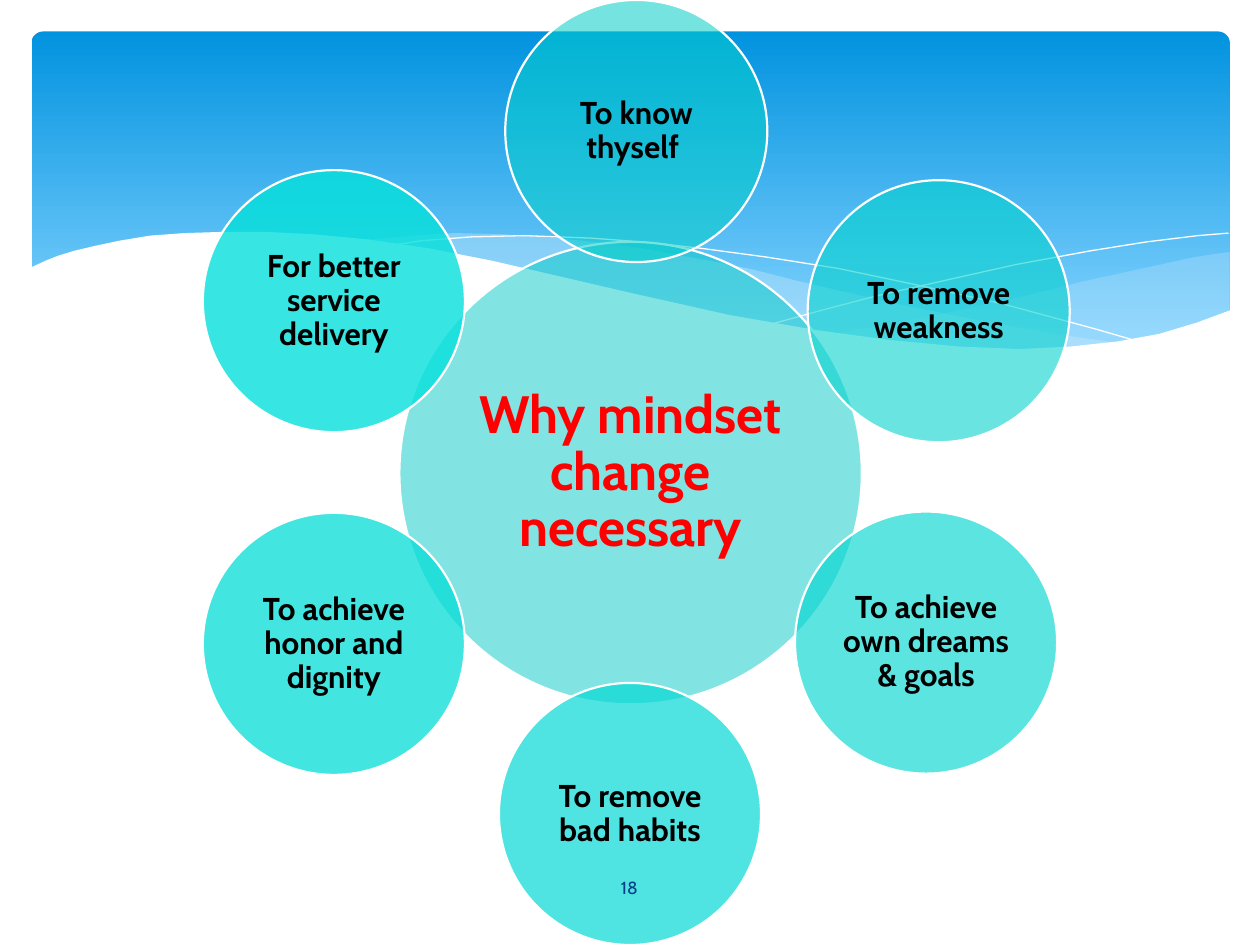
import dataclasses
import math
from typing import Optional

import lxml.etree
import pptx
import pptx.dml.color
import pptx.dml.fill
import pptx.enum.shapes
import pptx.enum.text
import pptx.oxml.ns
import pptx.util

PX = 9144  # EMU per px, 100 px to the inch
FONT = "Cabin"
COLORS = {
    "sky_top": "0293E0", "sky_bottom": "83D3FE", "mist": "C6E7FC", "white": "FFFFFF",
    "core": "05CBC7", "core_text": "FF0000", "text": "000000", "number": "073E87",
    "know": "05CFCA", "weakness": "05D2CE", "dreams": "05D6D1",
    "habits": "05D9D5", "honor": "05DDD8", "service": "06E0DB",
}


@dataclasses.dataclass
class Wave:
    points: list[tuple[int, int]]
    fill: Optional[str] = None
    opacity: int = 100


@dataclasses.dataclass
class Reason:
    words: str
    color: str
    dx: int = 0
    dy: int = 0


WAVES = [
    Wave([(975, 200), (948, 204), (921, 210), (861, 223), (805, 237), (753, 248),
          (706, 257), (661, 265), (691, 269), (719, 272), (745, 275), (781, 277),
          (814, 278), (844, 277), (872, 274), (897, 270), (921, 265), (942, 259),
          (963, 252), (976, 247), (976, 200)], "mist", 29),
    Wave([(893, 273), (837, 265), (775, 254), (706, 240), (629, 222), (598, 214),
          (569, 208), (541, 203), (514, 198), (489, 194), (442, 189), (399, 186),
          (361, 185), (328, 187), (286, 191), (323, 196), (362, 203), (404, 211),
          (449, 222), (530, 240), (601, 255), (665, 266), (722, 274), (773, 277),
          (818, 278), (857, 277)], "mist", 40),
    Wave([(309, 195), (335, 191), (374, 188), (416, 187), (469, 189), (510, 192),
          (556, 197), (608, 204), (665, 213), (727, 226), (795, 241), (869, 261),
          (907, 272)]),
    Wave([(613, 257), (653, 246), (695, 235), (748, 223), (806, 210), (866, 199),
          (910, 192), (951, 187), (975, 185)]),
    Wave([(977, 246), (950, 256), (920, 265), (887, 271), (850, 275), (809, 277),
          (761, 275), (708, 270), (648, 262), (579, 250), (503, 233), (447, 220),
          (391, 207), (340, 197), (292, 190), (250, 186), (211, 184), (177, 184),
          (146, 185), (119, 187), (95, 191), (76, 195), (59, 199), (46, 203),
          (36, 207), (23, 213), (23, 329), (977, 329)], "white"),
]

# Clockwise from the top; the first two sit slightly off the ring
REASONS = [
    Reason("To know thyself ", "know", dx=5),
    Reason("To remove weakness", "weakness", dx=10, dy=8),
    Reason("To achieve own dreams & goals", "dreams"),
    Reason("To remove bad habits", "habits"),
    Reason("To achieve honor and dignity", "honor"),
    Reason("For better service delivery", "service"),
]
CENTER_X, CENTER_Y = 500, 375
RING_RADIUS = 271


def rgb(name: str) -> pptx.dml.color.RGBColor:
    return pptx.dml.color.RGBColor.from_string(COLORS[name])


def px(*lengths: int) -> list[int]:
    return [length * PX for length in lengths]


def paint(shape, color: str, opacity: int = 100) -> None:
    shape.fill.solid()
    shape.fill.fore_color.rgb = rgb(color)
    if opacity < 100:
        tint = shape.fill._xPr.find(".//" + pptx.oxml.ns.qn("a:srgbClr"))
        alpha = lxml.etree.SubElement(tint, pptx.oxml.ns.qn("a:alpha"))
        alpha.set("val", str(opacity * 1000))


def write(shape, words: str, size: int, color: str, bold: bool = False):
    frame = shape.text_frame
    frame.text = words
    frame.word_wrap = True
    frame.vertical_anchor = pptx.enum.text.MSO_ANCHOR.MIDDLE
    para = frame.paragraphs[0]
    para.alignment = pptx.enum.text.PP_ALIGN.CENTER
    span = para.runs[0]
    span.font.name = FONT
    span.font.size = pptx.util.Pt(size)
    span.font.bold = bold
    span.font.color.rgb = rgb(color)
    return frame


def draw_sky(page) -> None:
    sky = page.shapes.add_shape(
        pptx.enum.shapes.MSO_SHAPE.ROUNDED_RECTANGLE, *px(25, 25, 951, 270))
    sky.adjustments[0] = 0.034
    sky.shadow.inherit = False
    sky.line.fill.background()
    sky.fill.gradient()
    sky.fill.gradient_angle = 270
    stops = zip(sky.fill.gradient_stops, (("sky_top", 0), ("sky_bottom", 0.9)))
    for stop, (color, position) in stops:
        stop.color.rgb = rgb(color)
        stop.position = position


def draw_wave(page, wave: Wave) -> None:
    builder = page.shapes.build_freeform(*wave.points[0], scale=PX)
    builder.add_line_segments(wave.points[1:], close=wave.fill is not None)
    shape = builder.convert_to_shape()
    shape.shadow.inherit = False
    if wave.fill:
        paint(shape, wave.fill, wave.opacity)
        shape.line.fill.background()
    else:
        shape.fill.background()
        shape.line.color.rgb = rgb("white")
        shape.line.width = 0


def draw_circle(page, x: int, y: int, diameter: int, fill: str, opacity: int,
                words: str, size: int, color: str, inset: int) -> None:
    circle = page.shapes.add_shape(
        pptx.enum.shapes.MSO_SHAPE.OVAL,
        *px(x - diameter // 2, y - diameter // 2, diameter, diameter))
    circle.shadow.inherit = False
    paint(circle, fill, opacity)
    circle.line.color.rgb = rgb("white")
    circle.line.width = pptx.util.Pt(1.25)
    frame = write(circle, words, size, color, bold=True)
    frame.paragraphs[0].line_spacing = 0.9
    frame.margin_left = frame.margin_right = inset * PX
    frame.margin_top = frame.margin_bottom = inset * PX


def main() -> None:
    deck = pptx.Presentation()
    deck.slide_width, deck.slide_height = px(1000, 750)
    page = deck.slides.add_slide(deck.slide_layouts[6])

    # Sky band with waves
    draw_sky(page)
    for wave in WAVES:
        draw_wave(page, wave)

    # Question in the middle, reasons around it
    draw_circle(page, CENTER_X, CENTER_Y, 367, "core", 50,
                "Why mindset change necessary", 30, "core_text", 4)
    for index, reason in enumerate(REASONS):
        angle = math.radians(60 * index)
        x = round(CENTER_X + RING_RADIUS * math.sin(angle)) + reason.dx
        y = round(CENTER_Y - RING_RADIUS * math.cos(angle)) + reason.dy
        draw_circle(page, x, y, 208, reason.color, 55 + 5 * index,
                    reason.words, 18, "text", 3)

    # Page number
    box = page.shapes.add_textbox(*px(436, 684, 127, 40))
    write(box, "18", 10, "number")

    deck.save("out.pptx")


if __name__ == "__main__":
    main()
